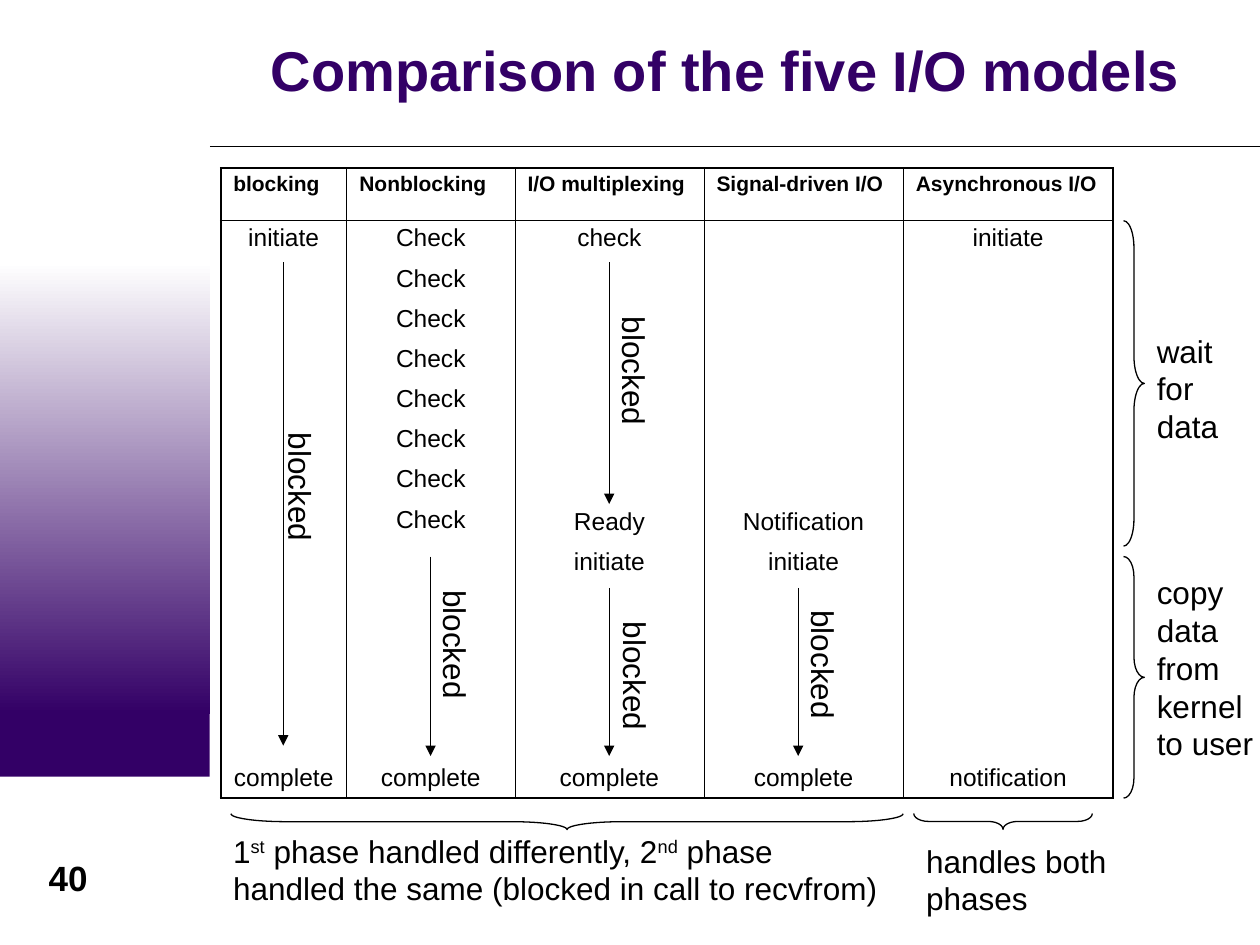
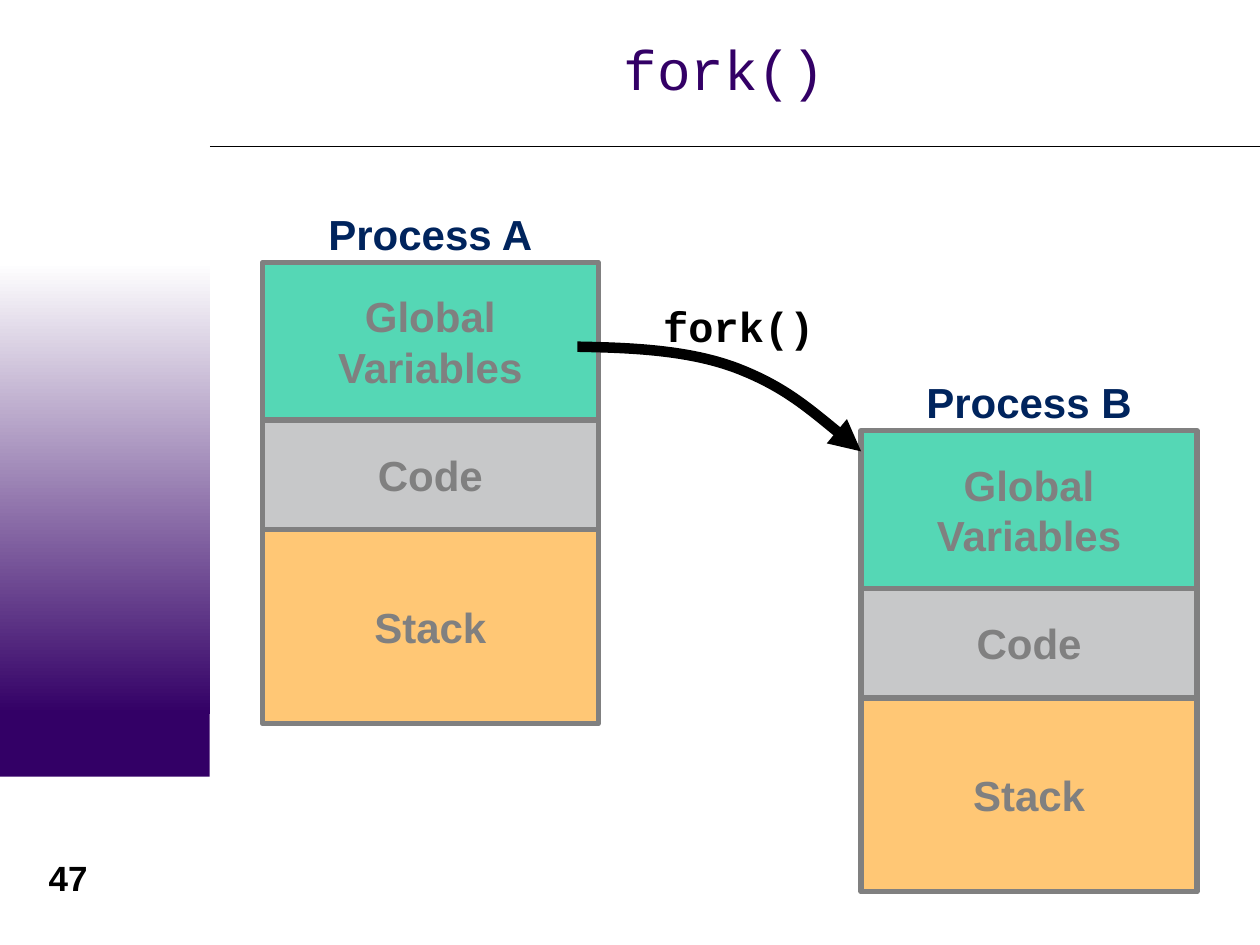
from dataclasses import dataclass

from lxml.etree import SubElement
from pptx import Presentation
from pptx.dml.color import RGBColor
from pptx.enum.shapes import MSO_CONNECTOR, MSO_SHAPE
from pptx.enum.text import MSO_ANCHOR, MSO_AUTO_SIZE, PP_ALIGN
from pptx.oxml.ns import qn
from pptx.util import Cm, Pt


@dataclass(frozen=True)
class TextStyle:
    size: float
    color: str = "000000"
    font: str = "Arial"
    bold: bool = False
    align: PP_ALIGN = PP_ALIGN.LEFT
    line_spacing: float = 1.0
    gap: float = 0


@dataclass(frozen=True)
class Theme:
    purple: str = "330066"
    white: str = "FFFFFF"
    black: str = "000000"
    outline: str = "808080"
    globals_fill: str = "55D7B5"
    code_fill: str = "C7C8C9"
    stack_fill: str = "FFC775"
    thin: float = 0.75
    block_line: float = 3
    arrow_line: float = 6
    table_outer: float = 1.08
    table_inner: float = 0.45
    title: TextStyle = TextStyle(32, "330066", bold=True, align=PP_ALIGN.CENTER, line_spacing=0.85)
    code_title: TextStyle = TextStyle(32, "330066", "Courier New", align=PP_ALIGN.CENTER,
                                      line_spacing=0.85)
    number: TextStyle = TextStyle(20, bold=True, align=PP_ALIGN.CENTER)
    note: TextStyle = TextStyle(18)
    header: TextStyle = TextStyle(12, bold=True, line_spacing=0.9)
    cell: TextStyle = TextStyle(14, align=PP_ALIGN.CENTER, line_spacing=0.9, gap=4.4)
    call: TextStyle = TextStyle(24, font="Courier New", bold=True)
    process: TextStyle = TextStyle(24, "00245D", bold=True, align=PP_ALIGN.CENTER)
    block: TextStyle = TextStyle(24, "808080", bold=True, align=PP_ALIGN.CENTER)


def rgb(color):
    return RGBColor.from_string(color)


def lengths(box):
    return [Cm(value) for value in box]


def add_arrowhead(line_shape):
    line = line_shape.element.spPr.find(qn("a:ln"))
    SubElement(line, qn("a:tailEnd"), type="triangle")


class SlideBuilder:
    def __init__(self, theme):
        self.theme = theme
        self.deck = Presentation()
        self.deck.slide_width, self.deck.slide_height = Cm(25.4), Cm(19.05)
        self.layout = self.deck.slide_layouts.get_by_name("Title Only")
        self.slide = self.shapes = None

    def new_slide(self, title, style, title_box, number):
        self.slide = self.deck.slides.add_slide(self.layout)
        self.shapes = self.slide.shapes
        if len(self.deck.slides) == 1:
            self.fill_layout()
        heading = self.shapes.title
        heading.left, heading.top, heading.width, heading.height = lengths(title_box)
        self.fill_frame(heading.text_frame, [[title]], style, MSO_ANCHOR.MIDDLE)
        self.text((0.42, 17.15, 1.91, 1.11), str(number), self.theme.number)

    def fill_layout(self):
        """Draw the side band and title rule, then move them to the layout."""
        for placeholder in list(self.layout.placeholders):
            if placeholder.placeholder_format.idx:
                placeholder.element.getparent().remove(placeholder.element)
        base = self.rectangle((0, 13.97, 4.23, 1.69), self.theme.purple)
        fade = self.rectangle((0, 5.29, 4.23, 9.1), self.theme.purple)
        fade.fill.gradient()
        fade.fill.gradient_angle = 270
        for stop, color in zip(fade.fill.gradient_stops, (self.theme.white, self.theme.purple)):
            stop.color.rgb = rgb(color)
        fade.fill.gradient_stops[0].position = 0
        fade.fill.gradient_stops[1].position = 1
        rule = self.line((4.23, 2.96), (25.4, 2.96))
        for part in (base, fade, rule):
            self.layout.shapes.element.append(part.element)

    def fill_frame(self, frame, paragraphs, style, anchor=MSO_ANCHOR.TOP, wrap=True):
        frame.word_wrap = wrap
        frame.auto_size = MSO_AUTO_SIZE.NONE
        frame.vertical_anchor = anchor
        self.add_paragraphs(frame, paragraphs, style)

    def add_paragraphs(self, frame, paragraphs, style):
        """Add lists of runs; a run given as a tuple is superscript."""
        for index, runs in enumerate(paragraphs):
            paragraph = frame.add_paragraph() if index else frame.paragraphs[0]
            paragraph.alignment = style.align
            paragraph.line_spacing = style.line_spacing
            paragraph.space_before = Pt(style.gap if index else 0)
            paragraph.space_after = Pt(style.gap)
            for content in runs:
                run = paragraph.add_run()
                raised = isinstance(content, tuple)
                run.text = content[0] if raised else content
                run.font.size, run.font.name = Pt(style.size), style.font
                run.font.bold = style.bold
                run.font.color.rgb = rgb(style.color)
                if raised:
                    run._r.get_or_add_rPr().set("baseline", "30000")

    def text(self, box, content, style, anchor=MSO_ANCHOR.TOP, wrap=True, rotation=0):
        label = self.shapes.add_textbox(*lengths(box))
        label.rotation = rotation
        runs = content if isinstance(content, list) else [content]
        self.fill_frame(label.text_frame, [runs], style, anchor, wrap)

    def rectangle(self, box, fill, lines=(), outline=None):
        block = self.shapes.add_shape(MSO_SHAPE.RECTANGLE, *lengths(box))
        block.shadow.inherit = False
        block.fill.solid()
        block.fill.fore_color.rgb = rgb(fill)
        if outline:
            self.stroke(block, self.theme.block_line, outline)
        else:
            block.line.fill.background()
        self.fill_frame(block.text_frame, [[line] for line in lines], self.theme.block,
                        MSO_ANCHOR.MIDDLE)
        return block

    def stroke(self, shape, width, color=None):
        shape.line.width = Pt(width)
        shape.line.color.rgb = rgb(color or self.theme.black)

    def line(self, start, end, arrow=False):
        connector = self.shapes.add_connector(MSO_CONNECTOR.STRAIGHT, *lengths(start + end))
        self.stroke(connector, self.theme.thin)
        SubElement(connector.element.spPr, qn("a:effectLst"))
        if arrow:
            add_arrowhead(connector)
        return connector

    def brace(self, box, rotation=0):
        brace = self.shapes.add_shape(MSO_SHAPE.RIGHT_BRACE, *lengths(box))
        width, height = box[2:]
        brace.adjustments[0] = height / 12 / width
        brace.rotation = rotation
        brace.shadow.inherit = False
        brace.fill.background()
        self.stroke(brace, self.theme.thin)

    def curved_arrow(self, points):
        """Draw cubic curves: a start, then two handles and an end for each."""
        start, *others = [tuple(lengths(point)) for point in points]
        builder = self.shapes.build_freeform(*start)
        builder.add_line_segments(others, close=False)
        arrow = builder.convert_to_shape()
        outline = arrow.element.spPr.find(".//" + qn("a:path"))
        steps = outline.findall(qn("a:lnTo"))
        for first in range(0, len(steps), 3):
            curve = SubElement(outline, qn("a:cubicBezTo"))
            for step in steps[first:first + 3]:
                curve.append(step[0])
                outline.remove(step)
        arrow.shadow.inherit = False
        arrow.fill.background()
        self.stroke(arrow, self.theme.arrow_line)
        add_arrowhead(arrow)

    def table(self, left, top, widths, heights, rows):
        box = (left, top, sum(widths), sum(heights))
        grid = self.shapes.add_table(len(rows), len(widths), *lengths(box)).table
        grid.first_row = grid.horz_banding = False
        for column, width in zip(grid.columns, widths):
            column.width = Cm(width)
        last_row, last_column = len(rows) - 1, len(widths) - 1
        outer, inner = self.theme.table_outer, self.theme.table_inner
        for r, contents in enumerate(rows):
            grid.rows[r].height = Cm(heights[r])
            for c, content in enumerate(contents):
                cell = grid.cell(r, c)
                cell.fill.background()
                cell.vertical_anchor = MSO_ANCHOR.BOTTOM if r == last_row else MSO_ANCHOR.TOP
                if content:
                    self.add_paragraphs(cell.text_frame, [[part] for part in content.split("\n")],
                                        self.theme.cell if r else self.theme.header)
                self.borders(cell, {
                    "lnL": inner if c else outer,
                    "lnR": outer if c == last_column else inner,
                    "lnT": {0: outer, 1: inner}.get(r, 0),
                    "lnB": {0: inner, last_row: outer}.get(r, 0),
                })
        return grid

    def borders(self, cell, widths):
        properties = cell._tc.get_or_add_tcPr()
        for index, (side, width) in enumerate(widths.items()):
            border = SubElement(properties, qn("a:" + side), w=str(Pt(width)))
            if width:
                fill = SubElement(border, qn("a:solidFill"))
                SubElement(fill, qn("a:srgbClr"), val=self.theme.black)
            else:
                SubElement(border, qn("a:noFill"))
            properties.insert(index, border)

    def process(self, name, left, top):
        """Group a process name with its stack of memory blocks."""
        width = 6.77
        blocks = [
            (("Global", "Variables"), 3.18, self.theme.globals_fill),
            (("Code",), 2.21, self.theme.code_fill),
            (("Stack",), 3.91, self.theme.stack_fill),
        ]
        self.shapes = self.slide.shapes.add_group_shape().shapes
        self.text((left, top - 1.27, width, 1.37), name, self.theme.process, MSO_ANCHOR.MIDDLE)
        for lines, height, fill in blocks:
            self.rectangle((left, top, width, height), fill, lines, self.theme.outline)
            top += height
        self.shapes = self.slide.shapes


def build_comparison(slides):
    note = slides.theme.note
    slides.new_slide("Comparison of the five I/O models", slides.theme.title,
                     (4.57, 0.28, 20.12, 2.44), 40)
    checks = "\n".join(["Check"] * 8)
    models = slides.table(4.45, 3.39, (2.54, 3.39, 3.81, 4.02, 4.23),
                          (1.06, 2.82, 2.9, 3.1, 2.82), [
        ["blocking", "Nonblocking", "I/O multiplexing", "Signal-driven I/O", "Asynchronous I/O"],
        ["initiate", checks, "check", "", "initiate"],
        [""] * 5,
        ["", "", "Ready\ninitiate", "Notification\ninitiate", ""],
        ["complete"] * 4 + ["notification"],
    ])
    models.cell(1, 1).merge(models.cell(3, 1))

    label_width, label_height = 2.97, 1.02
    blocked_spans = [  # arrow x, start, end, then label centre
        (5.71, 5.29, 15.03, 6.06, 9.96),
        (8.68, 11.22, 15.24, 9.18, 13.13),
        (12.28, 11.85, 15.24, 12.81, 13.77),
        (12.28, 5.29, 10.16, 12.79, 7.62),
        (16.09, 11.85, 15.24, 16.6, 13.54),
    ]
    for x, start, end, label_x, label_y in blocked_spans:
        slides.line((x, start), (x, end), arrow=True)
        slides.text((label_x - label_width / 2, label_y - label_height / 2,
                     label_width, label_height), "blocked", note, rotation=90)

    slides.brace((22.65, 4.45, 0.42, 6.56))
    slides.brace((22.65, 11.22, 0.42, 4.87))
    slides.text((23.07, 6.56, 1.91, 2.54), "wait for data", note)
    slides.text((23.07, 11.43, 2.54, 4.06), "copy data from kernel to user", note)
    slides.brace((11.27, 9.79, 0.32, 13.55), rotation=90)
    slides.brace((20.06, 14.76, 0.32, 3.6), rotation=90)
    slides.text((4.45, 16.64, 13.55, 1.78),
                ["1", ("st",), " phase handled differently, 2", ("nd",),
                 " phase handled the same (blocked in call to recvfrom)"], note)
    slides.text((18.42, 16.84, 4.66, 1.78), "handles both phases", note)


def build_fork(slides):
    slides.new_slide("fork()", slides.theme.code_title, (3.81, 0, 21.59, 2.96), 47)
    slides.text((13.12, 5.93, 3.56, 1.27), "fork()", slides.theme.call, wrap=False)
    slides.process("Process A", 5.29, 5.29)
    slides.process("Process B", 17.36, 8.68)
    slides.curved_arrow([(11.64, 6.99), (12.75, 7.01), (13.87, 7.06), (14.82, 7.41),
                         (15.77, 7.77), (16.56, 8.43), (17.36, 9.1)])


def main():
    slides = SlideBuilder(Theme())
    build_comparison(slides)
    build_fork(slides)
    slides.deck.save("out.pptx")


if __name__ == "__main__":
    main()
